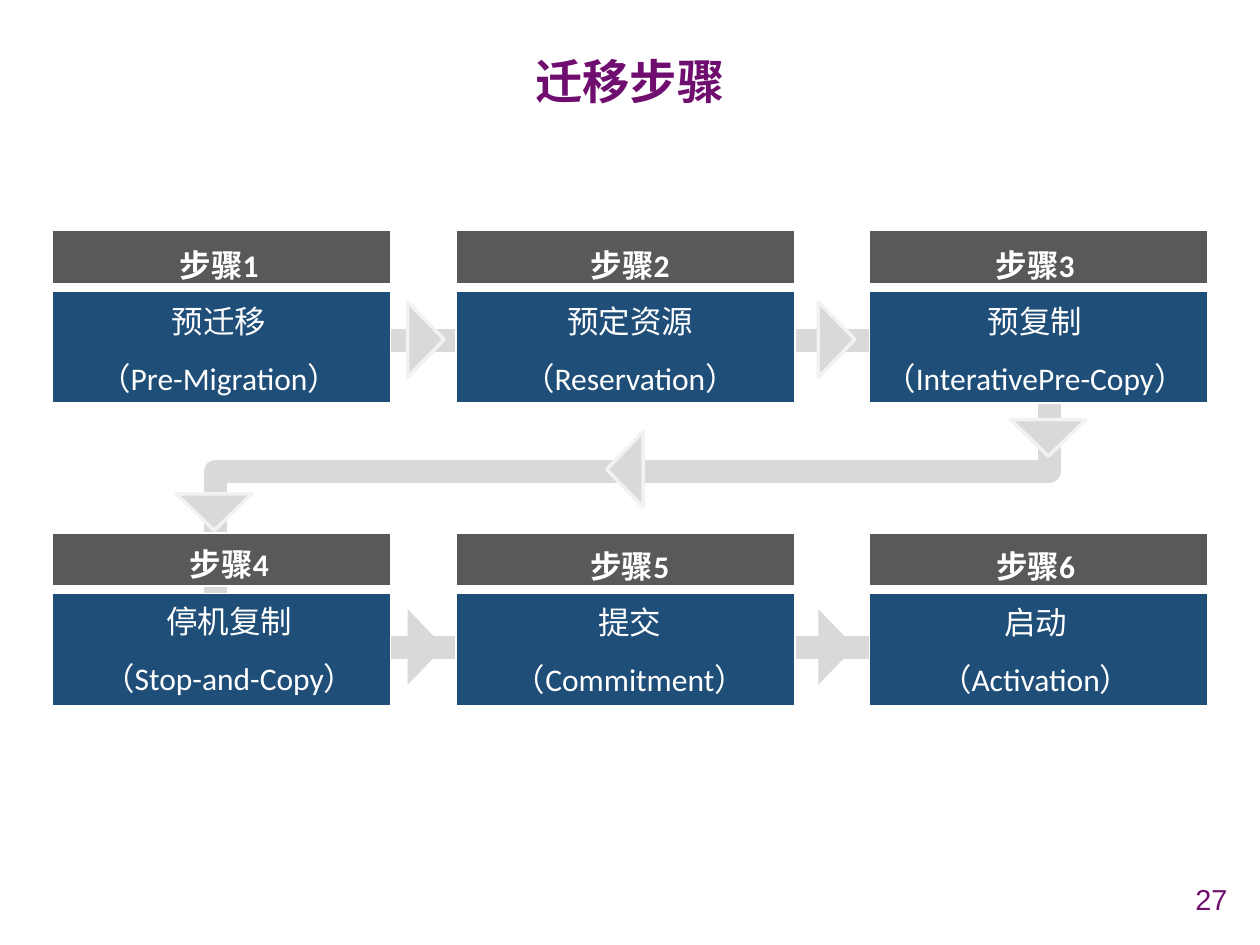
"""Build the slide showing the six migration steps as a flow."""
from lxml.etree import SubElement
from pptx import Presentation
from pptx.dml.color import RGBColor
from pptx.enum.shapes import MSO_SHAPE
from pptx.enum.text import MSO_ANCHOR, MSO_AUTO_SIZE, PP_ALIGN
from pptx.oxml.ns import qn
from pptx.util import Inches, Pt

INK = {"plum": "6F0E6F", "head": "595959", "body": "1F4E79",
       "flow": "D9D9D9", "edge": "F2F2F2", "white": "FFFFFF"}
CJK = "Noto Sans CJK SC"


def add_run(para, text, size, face, ink, bold=False):
    """Add one formatted run to a paragraph."""
    run = para.add_run()
    run.text = text
    run.font.size = Pt(size)
    run.font.name = face
    run.font.bold = bold
    run.font.color.rgb = RGBColor.from_string(INK[ink])
    SubElement(run.font._element, qn("a:ea")).set("typeface", CJK)


def add_form(kind, box, fill, line=None, width=1, turn=0):
    """Add one filled preset shape."""
    form = slide.shapes.add_shape(kind, *map(Inches, box))
    form.shadow.inherit = False
    form.rotation = turn
    form.fill.solid()
    form.fill.fore_color.rgb = RGBColor.from_string(INK[fill])
    if line:
        form.line.color.rgb = RGBColor.from_string(INK[line])
        form.line.width = Pt(width)
    else:
        form.line.fill.background()


deck = Presentation()
deck.slide_width, deck.slide_height = Inches(10), Inches(7.5)
slide = deck.slides.add_slide(deck.slide_layouts[5])

title = slide.shapes.title
title.left, title.top = Inches(0.46), Inches(0.31)
title.width, title.height = Inches(9.08), Inches(0.71)
title.text_frame.vertical_anchor = MSO_ANCHOR.MIDDLE
para = title.text_frame.paragraphs[0]
para.alignment = PP_ALIGN.CENTER
para.line_spacing = 0.9
add_run(para, "迁移步骤", 27, CJK, "plum", True)

route = [(8.33, 2.7), (8.33, 3.74), (1.71, 3.74), (1.71, 5.14), (8.32, 5.14)]
pen = slide.shapes.build_freeform(Inches(1.7), Inches(2.7))
pen.add_line_segments([(Inches(x), Inches(y)) for x, y in route], close=False)
track = pen.convert_to_shape()
track.shadow.inherit = False
track.fill.background()
track.line.color.rgb = RGBColor.from_string(INK["flow"])
track.line.width = Pt(13.25)

for top in (1.83, 4.23):
    for left in (0.41, 3.62, 6.9):
        add_form(MSO_SHAPE.RECTANGLE, (left, top, 2.69, 0.42), "head", "white")
        add_form(MSO_SHAPE.RECTANGLE, (left, top + 0.48, 2.69, 0.89), "body", "white")

steps = [
    (0.54, 1.75, 2.4, "预迁移", "Pre-Migration"),
    (3.94, 1.75, 2.12, "预定资源", "Reservation"),
    (6.73, 1.75, 2.97, "预复制", "InterativePre-Copy"),
    (0.54, 4.13, 2.56, "停机复制", "Stop-and-Copy"),
    (3.85, 4.14, 2.3, "提交", "Commitment"),
    (7.26, 4.14, 1.92, "启动", "Activation"),
]
for num, (left, top, width, name, term) in enumerate(steps, 1):
    label = slide.shapes.add_textbox(Inches(left), Inches(top), Inches(width), Inches(1.46))
    frame = label.text_frame
    frame.word_wrap = False
    frame.auto_size = MSO_AUTO_SIZE.SHAPE_TO_FIT_TEXT
    for row, text in enumerate((f"步骤{num}", name, f"（{term}）")):
        para = frame.add_paragraph() if row else frame.paragraphs[0]
        para.alignment = PP_ALIGN.CENTER
        para.line_spacing = 1.5
        add_run(para, text, 18, "Calibri", "white", row == 0)

heads = [
    (3.08, 2.55, 90, "edge"), (6.34, 2.55, 90, "edge"), (8.02, 3.33, 180, "edge"),
    (4.66, 3.58, 270, "edge"), (1.4, 3.92, 180, "edge"),
    (3.08, 4.99, 90, None), (6.34, 4.99, 90, None),
]
for left, top, turn, line in heads:
    add_form(MSO_SHAPE.ISOSCELES_TRIANGLE, (left, top, 0.6, 0.29), "flow", line, 2, turn)

page = slide.shapes.add_textbox(Inches(9.14), Inches(6.98), Inches(0.7), Inches(0.31))
page.text_frame.word_wrap = True
page.text_frame.vertical_anchor = MSO_ANCHOR.MIDDLE
para = page.text_frame.paragraphs[0]
para.alignment = PP_ALIGN.RIGHT
add_run(para, "27", 16.5, "Arial", "plum")

deck.save("out.pptx")
